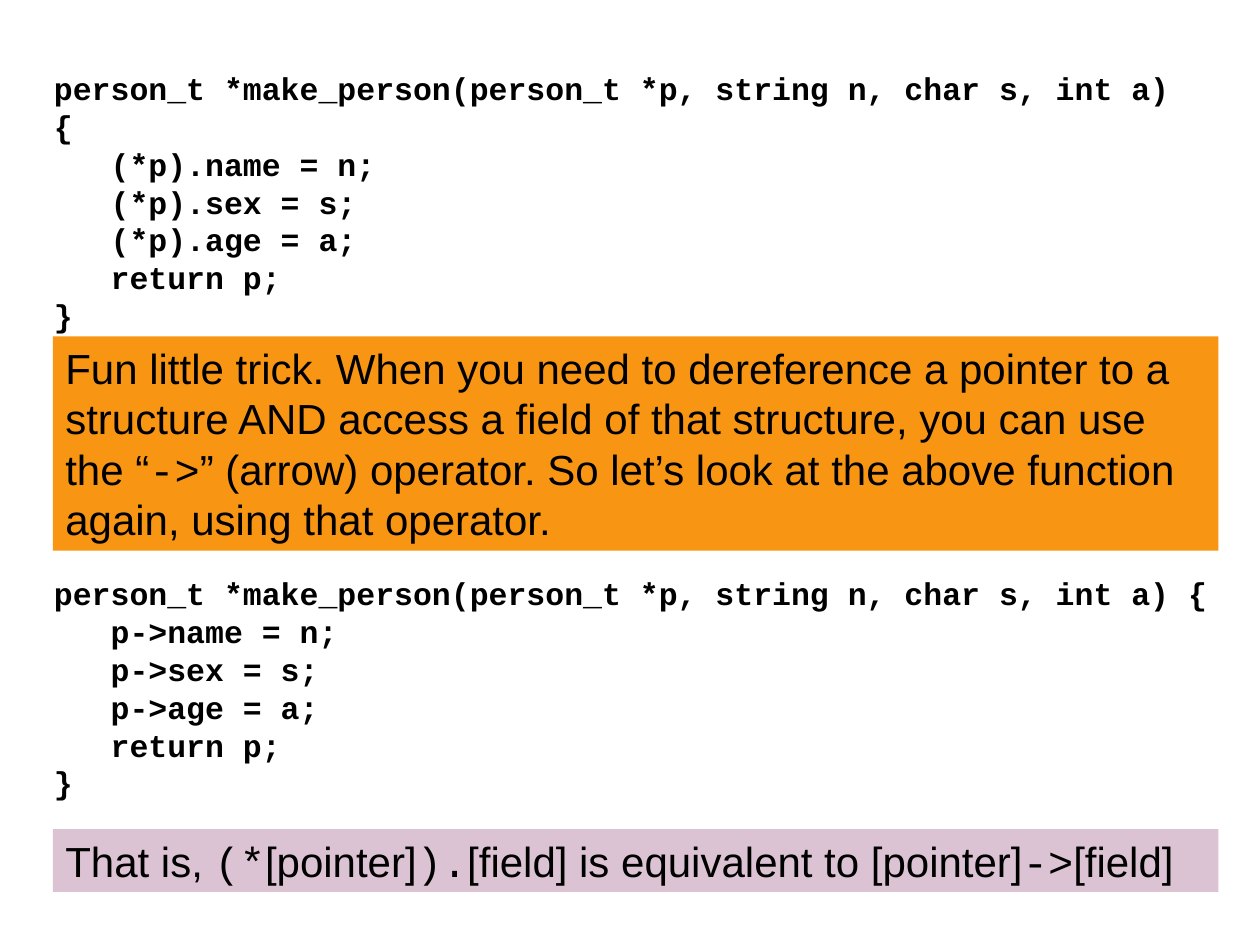
"""Build a slide on the arrow operator for pointers to structures."""
from dataclasses import dataclass

from pptx import Presentation
from pptx.dml.color import RGBColor as Color
from pptx.enum.shapes import MSO_SHAPE as Shape
from pptx.enum.text import MSO_ANCHOR as Anchor, MSO_AUTO_SIZE as AutoSize, PP_ALIGN as Align
from pptx.util import Inches, Pt


@dataclass(frozen=True)
class Theme:
    """Colours, fonts and type sizes of the slide."""
    ink: Color = Color(0x00, 0x00, 0x00)
    orange: Color = Color(0xF8, 0x96, 0x14)
    mauve: Color = Color(0xDB, 0xC3, 0xD3)
    prose: str = "Arial"
    code: str = "Courier New"
    prose_size: int = 24
    code_size: int = 18
    leading: float = 1.2
    space_before: int = 15


THEME = Theme()
SIGNATURE = "person_t *make_person(person_t *p, string n, char s, int a) {"
FIELDS = {"name": "n", "sex": "s", "age": "a"}


def function_lines(access):
    """Return (indent level, line) pairs of the function for one way of field access."""
    body = [f"{access}{field} = {value};" for field, value in FIELDS.items()]
    return [(0, SIGNATURE), *((1, line) for line in body + ["return p;"]), (0, "}")]


def prepare_frame(shape):
    """Make the text frame wrap from the top and return it."""
    frame = shape.text_frame
    frame.word_wrap = True
    frame.auto_size = AutoSize.SHAPE_TO_FIT_TEXT
    frame.vertical_anchor = Anchor.TOP
    return frame


def style_para(para, size):
    """Align a paragraph left with lines set in proportion to the type size."""
    para.alignment = Align.LEFT
    para.line_spacing = Pt(size * THEME.leading)


def add_span(para, text, font, size, bold=False):
    """Append one run of text."""
    span = para.add_run()
    span.text = text
    span.font.name = font
    span.font.size = Pt(size)
    span.font.bold = bold
    span.font.color.rgb = THEME.ink


def add_code(page, top, width, height, lines):
    """Add a listing whose indent levels are three characters wide."""
    box = page.shapes.add_textbox(Inches(0.33), Inches(top), Inches(width), Inches(height))
    frame = prepare_frame(box)
    for number, (level, line) in enumerate(lines):
        para = frame.add_paragraph() if number else frame.paragraphs[0]
        style_para(para, THEME.code_size)
        properties = para._p.get_or_add_pPr()
        properties.set("marL", str(Inches(0.45 * level)))
        properties.set("indent", "0")
        add_span(para, line, THEME.code, THEME.code_size, bold=True)


def add_note(page, top, height, fill, parts):
    """Add a filled note whose parts alternate between prose and code."""
    box = page.shapes.add_shape(
        Shape.RECTANGLE, Inches(0.42), Inches(top), Inches(9.25), Inches(height))
    box.shadow.inherit = False
    box.fill.solid()
    box.fill.fore_color.rgb = fill
    box.line.fill.background()
    para = prepare_frame(box).paragraphs[0]
    style_para(para, THEME.prose_size)
    para.space_before = Pt(THEME.space_before)
    for number, text in enumerate(parts):
        font = THEME.code if number % 2 else THEME.prose
        add_span(para, text, font, THEME.prose_size)


def main():
    """Build and save the slide."""
    deck = Presentation()
    deck.slide_width, deck.slide_height = Inches(10), Inches(7.5)
    page = deck.slides.add_slide(deck.slide_layouts[6])
    add_code(page, 0.5, 9.33, 2.2, function_lines("(*p)."))
    add_note(page, 2.67, 1.7, THEME.orange, [
        "Fun little trick. When you need to dereference a pointer to a structure "
        "AND access a field of that structure, you can use the “",
        "->",
        "” (arrow) operator. So let’s look at the above function again, "
        "using that operator.",
    ])
    add_code(page, 4.51, 9.5, 1.9, function_lines("p->"))
    add_note(page, 6.58, 0.5, THEME.mauve, [
        "That is, ", "(*", "[pointer]", ").",
        "[field] is equivalent to [pointer]", "->", "[field]",
    ])
    deck.save("out.pptx")


if __name__ == "__main__":
    main()
